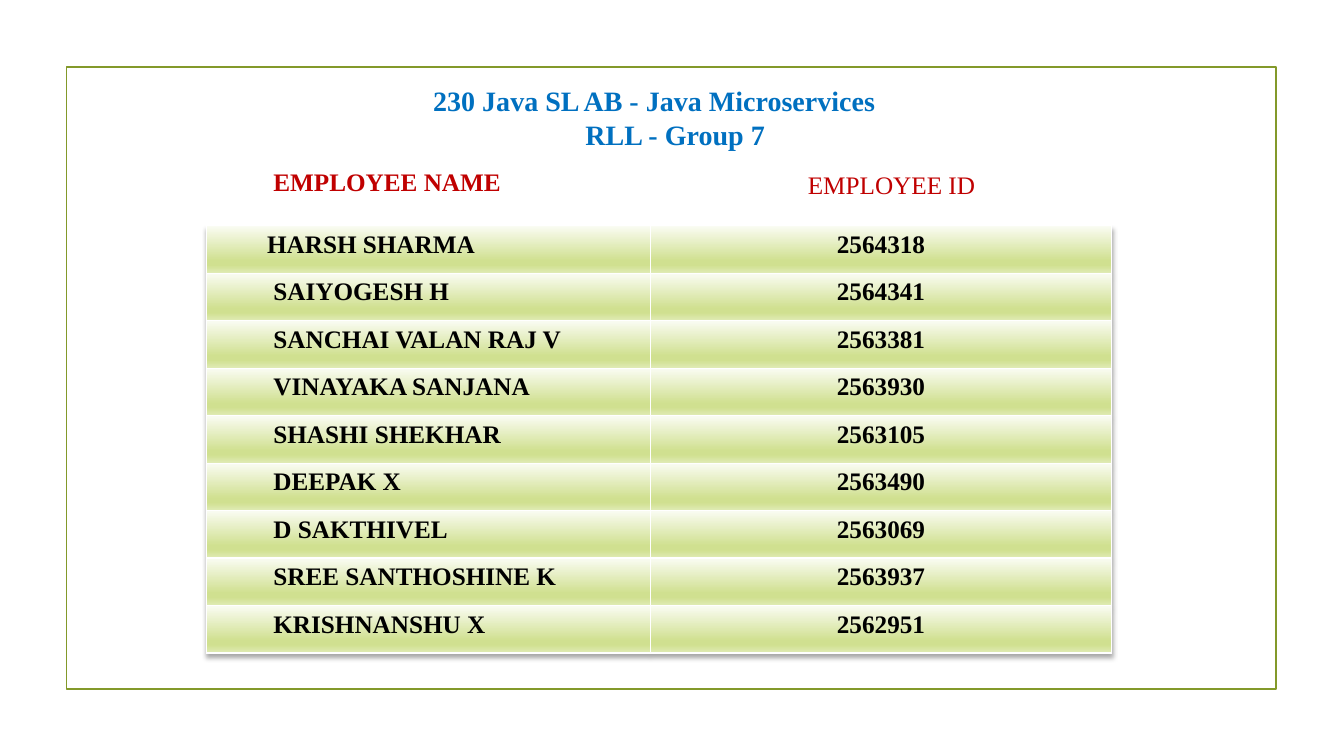
import pptx
import pptx.util
import pptx.dml.color
import pptx.enum.shapes
import pptx.enum.text
import pptx.oxml

Pt = pptx.util.Pt
RGBColor = pptx.dml.color.RGBColor
Align = pptx.enum.text.PP_ALIGN

OLIVE = RGBColor(0x83, 0x99, 0x2A)
BLUE = RGBColor(0x00, 0x70, 0xC0)
RED = RGBColor(0xC0, 0x00, 0x00)
BLACK = RGBColor(0x00, 0x00, 0x00)
WHITE = RGBColor(0xFF, 0xFF, 0xFF)
GRADIENT = [
    (0, RGBColor(0xFA, 0xFC, 0xF3)),
    (74, RGBColor(0xD0, 0xE0, 0x90)),
    (83, RGBColor(0xD0, 0xE0, 0x90)),
    (100, RGBColor(0xE0, 0xEB, 0xB5)),
]
NAMESPACE = 'xmlns:a="http://schemas.openxmlformats.org/drawingml/2006/main"'
FONT = "Times New Roman"
TABLE_LEFT = 147.6
COLUMN_WIDTHS = [316.8, 329.8]
ROW_HEIGHT = 33.92
NAME_INDENT = 47.7

employees = [
    ("HARSH SHARMA", "2564318"),
    ("SAIYOGESH H", "2564341"),
    ("SANCHAI VALAN RAJ V", "2563381"),
    ("VINAYAKA SANJANA", "2563930"),
    ("SHASHI SHEKHAR", "2563105"),
    ("DEEPAK X", "2563490"),
    ("D SAKTHIVEL", "2563069"),
    ("SREE SANTHOSHINE K", "2563937"),
    ("KRISHNANSHU X", "2562951"),
]


def add_plain_table(top, row_count):
    frame = slide.shapes.add_table(
        row_count, 2, Pt(TABLE_LEFT), Pt(top),
        Pt(sum(COLUMN_WIDTHS)), Pt(ROW_HEIGHT * row_count))
    table = frame.table
    table.first_row = False
    table.horz_banding = False
    for column, width in zip(table.columns, COLUMN_WIDTHS):
        column.width = Pt(width)
    for row in table.rows:
        row.height = Pt(ROW_HEIGHT)
    return table


def fill_cell(cell, text, alignment, color, bold):
    cell.text_frame.text = text
    paragraph = cell.text_frame.paragraphs[0]
    paragraph.alignment = alignment
    font = paragraph.runs[0].font
    font.name = FONT
    font.size = Pt(18)
    font.bold = bold
    font.color.rgb = color
    properties = cell._tc.get_or_add_tcPr()
    for side in ("lnL", "lnR", "lnT", "lnB"):
        properties.append(pptx.oxml.parse_xml(
            f'<a:{side} {NAMESPACE} w="{Pt(1)}"><a:solidFill>'
            f'<a:srgbClr val="{WHITE}"/></a:solidFill></a:{side}>'))


presentation = pptx.Presentation()
presentation.slide_width = Pt(960)
presentation.slide_height = Pt(540)
slide = presentation.slides.add_slide(presentation.slide_layouts[6])

border = slide.shapes.add_shape(
    pptx.enum.shapes.MSO_SHAPE.RECTANGLE, Pt(47.6), Pt(48), Pt(864), Pt(444))
border.shadow.inherit = False
border.fill.background()
border.line.color.rgb = OLIVE
border.line.width = Pt(1.25)

employee_table = add_plain_table(161.3, len(employees))
employee_table._tbl.tblPr.insert(0, pptx.oxml.parse_xml(
    f'<a:effectLst {NAMESPACE}><a:outerShdw blurRad="{Pt(3)}" dist="{Pt(3)}" '
    f'dir="5400000" rotWithShape="0"><a:srgbClr val="{BLACK}">'
    '<a:alpha val="35000"/></a:srgbClr></a:outerShdw></a:effectLst>'))
stops = "".join(
    f'<a:gs pos="{position * 1000}"><a:srgbClr val="{color}"/></a:gs>'
    for position, color in GRADIENT)
for row, employee in zip(employee_table.rows, employees):
    for cell, text, alignment in zip(row.cells, employee, (Align.JUSTIFY, Align.CENTER)):
        fill_cell(cell, text, alignment, BLACK, True)
        cell._tc.tcPr.append(pptx.oxml.parse_xml(
            f'<a:gradFill {NAMESPACE} rotWithShape="1"><a:gsLst>{stops}</a:gsLst>'
            '<a:lin ang="5400000" scaled="0"/></a:gradFill>'))
    row.cells[0].margin_left = Pt(NAME_INDENT)
employee_table.cell(0, 0).margin_left = Pt(43.2)

header_table = add_plain_table(117.4, 1)
headings = [
    ("EMPLOYEE NAME", True, NAME_INDENT, 3.6),
    ("EMPLOYEE ID", False, 112.7, 5.6),
]
for cell, (text, bold, indent, top) in zip(header_table.rows[0].cells, headings):
    fill_cell(cell, text, Align.JUSTIFY, RED, bold)
    cell.fill.background()
    cell.margin_left = Pt(indent)
    cell.margin_top = Pt(top)

title = slide.shapes.add_textbox(Pt(239), Pt(56.2), Pt(481.7), Pt(55.4))
title_frame = title.text_frame
title_frame.word_wrap = True
title_frame.margin_right = Pt(32.2)
title_frame.text = "230 Java SL AB - Java Microservices\nRLL - Group 7"
title_frame.paragraphs[1]._p.get_or_add_pPr().set("marL", str(Pt(30)))
for paragraph in title_frame.paragraphs:
    paragraph.alignment = Align.CENTER
    font = paragraph.runs[0].font
    font.name = FONT
    font.size = Pt(20)
    font.bold = True
    font.color.rgb = BLUE

presentation.save("out.pptx")
